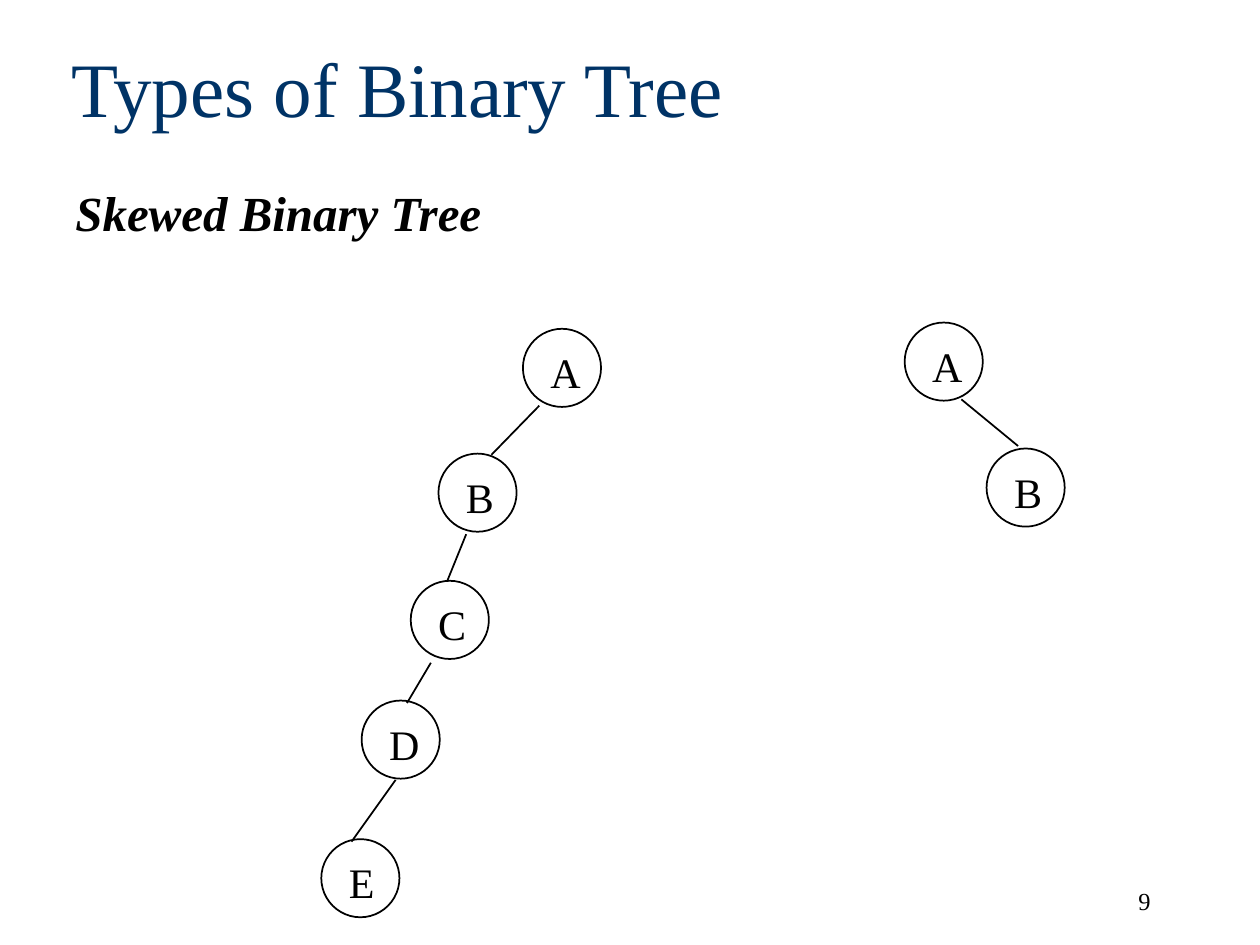
import dataclasses

import pptx
import pptx.dml.color
import pptx.enum.shapes
import pptx.enum.text
import pptx.oxml.ns
import pptx.util
from lxml import etree
from pptx.util import Inches


@dataclasses.dataclass(frozen=True)
class Theme:
    """Colours, font and sizes used on the slide."""
    font: str = "Times New Roman"
    title_color: str = "003366"
    ink: str = "000000"
    title_size: float = 44
    subtitle_size: float = 28
    label_size: float = 24
    number_size: float = 14
    line_width: float = 0.99


THEME = Theme()
NODE_SIZE = 0.62
LABEL_OFFSET = (0.12, 0.09)

# Each tree: nodes as (label, left, top), edges as (start, end).
LEFT_SKEWED = (
    [("A", 4.15, 2.61), ("B", 3.48, 3.6), ("C", 3.26, 4.61),
     ("D", 2.87, 5.56), ("E", 2.55, 6.66)],
    [((4.28, 3.22), (3.9, 3.61)), ((3.7, 4.24), (3.55, 4.61)),
     ((3.42, 5.26), (3.23, 5.58)), ((3.14, 6.19), (2.79, 6.68))],
)
RIGHT_SKEWED = (
    [("A", 7.18, 2.56), ("B", 7.83, 3.56)],
    [((7.63, 3.17), (8.08, 3.54))],
)


def rgb(value):
    """Return a colour object for a hex string."""
    return pptx.dml.color.RGBColor.from_string(value)


def write(paragraph, text, size, color=THEME.ink, emphasis=False):
    """Add one formatted run to a paragraph."""
    run = paragraph.add_run()
    run.text = text
    run.font.name = THEME.font
    run.font.size = pptx.util.Pt(size)
    run.font.color.rgb = rgb(color)
    run.font.bold = run.font.italic = emphasis


def style_line(shape):
    """Give an outline or connector the common ink line."""
    shape.line.color.rgb = rgb(THEME.ink)
    shape.line.width = pptx.util.Pt(THEME.line_width)


def add_title(slide, text):
    """Place and format the title placeholder."""
    title = slide.shapes.title
    title.left, title.top = Inches(0.47), Inches(0.06)
    title.width, title.height = Inches(8.5), Inches(1.25)
    frame = title.text_frame
    frame.vertical_anchor = pptx.enum.text.MSO_ANCHOR.MIDDLE
    frame.auto_size = pptx.enum.text.MSO_AUTO_SIZE.NONE
    paragraph = frame.paragraphs[0]
    paragraph.alignment = pptx.enum.text.PP_ALIGN.LEFT
    write(paragraph, text, THEME.title_size, THEME.title_color)


def add_text(shapes, text, box, size, emphasis=False, wrap=False):
    """Add a one-line text box and return its paragraph."""
    frame = shapes.add_textbox(*map(Inches, box)).text_frame
    frame.word_wrap = wrap
    if not wrap:
        frame.auto_size = pptx.enum.text.MSO_AUTO_SIZE.SHAPE_TO_FIT_TEXT
    paragraph = frame.paragraphs[0]
    write(paragraph, text, size, emphasis=emphasis)
    return paragraph


def add_page_number(slide, number):
    """Add the right-aligned page number."""
    paragraph = add_text(slide.shapes, number, (7.15, 6.98, 2.08, 0.5),
                         THEME.number_size, wrap=True)
    paragraph.alignment = pptx.enum.text.PP_ALIGN.RIGHT
    paragraph.space_before = pptx.util.Pt(8.8)


def add_node(slide, label, left, top):
    """Add a grouped circle and its label."""
    group = slide.shapes.add_group_shape()
    circle = group.shapes.add_shape(
        pptx.enum.shapes.MSO_SHAPE.OVAL,
        *map(Inches, (left, top, NODE_SIZE, NODE_SIZE)))
    circle.shadow.inherit = False
    circle.fill.background()
    style_line(circle)
    across, down = LABEL_OFFSET
    add_text(group.shapes, label, (left + across, top + down, 0.43, 0.5),
             THEME.label_size)


def add_edge(slide, start, end):
    """Connect two nodes with a straight line."""
    edge = slide.shapes.add_connector(
        pptx.enum.shapes.MSO_CONNECTOR.STRAIGHT, *map(Inches, start + end))
    style_line(edge)
    properties = edge._element.spPr
    etree.SubElement(properties, pptx.oxml.ns.qn("a:effectLst"))


def add_tree(slide, nodes, edges):
    """Draw all nodes and edges of one tree."""
    for node in nodes:
        add_node(slide, *node)
    for edge in edges:
        add_edge(slide, *edge)


def main():
    """Build and save the slide."""
    presentation = pptx.Presentation()
    presentation.slide_width = Inches(10)
    presentation.slide_height = Inches(7.5)
    slide = presentation.slides.add_slide(presentation.slide_layouts[5])
    add_title(slide, "Types of Binary Tree")
    add_text(slide.shapes, "Skewed Binary Tree", (0.5, 1.4, 3.44, 0.57),
             THEME.subtitle_size, emphasis=True)
    for tree in (LEFT_SKEWED, RIGHT_SKEWED):
        add_tree(slide, *tree)
    add_page_number(slide, "9")
    presentation.save("out.pptx")


main()
